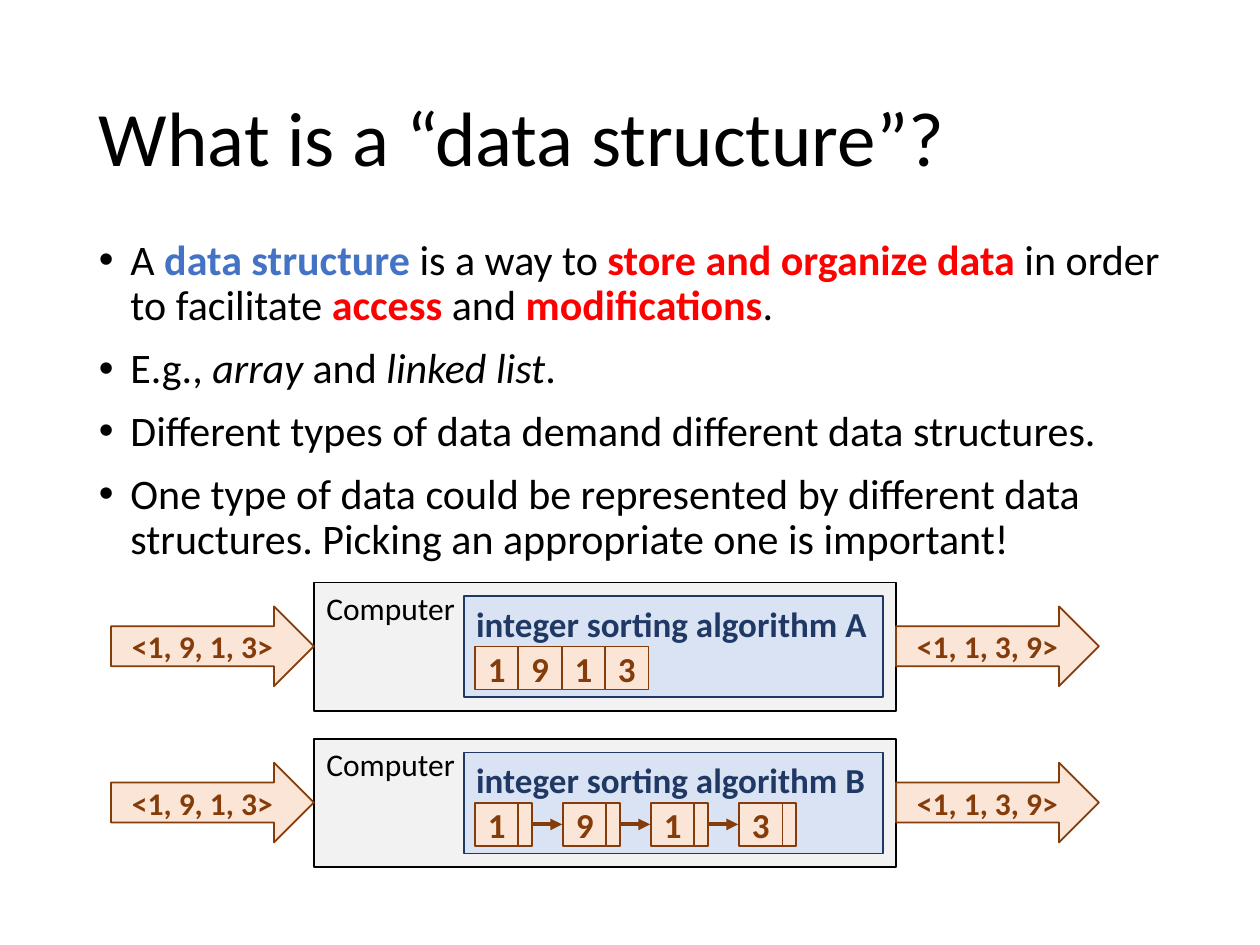
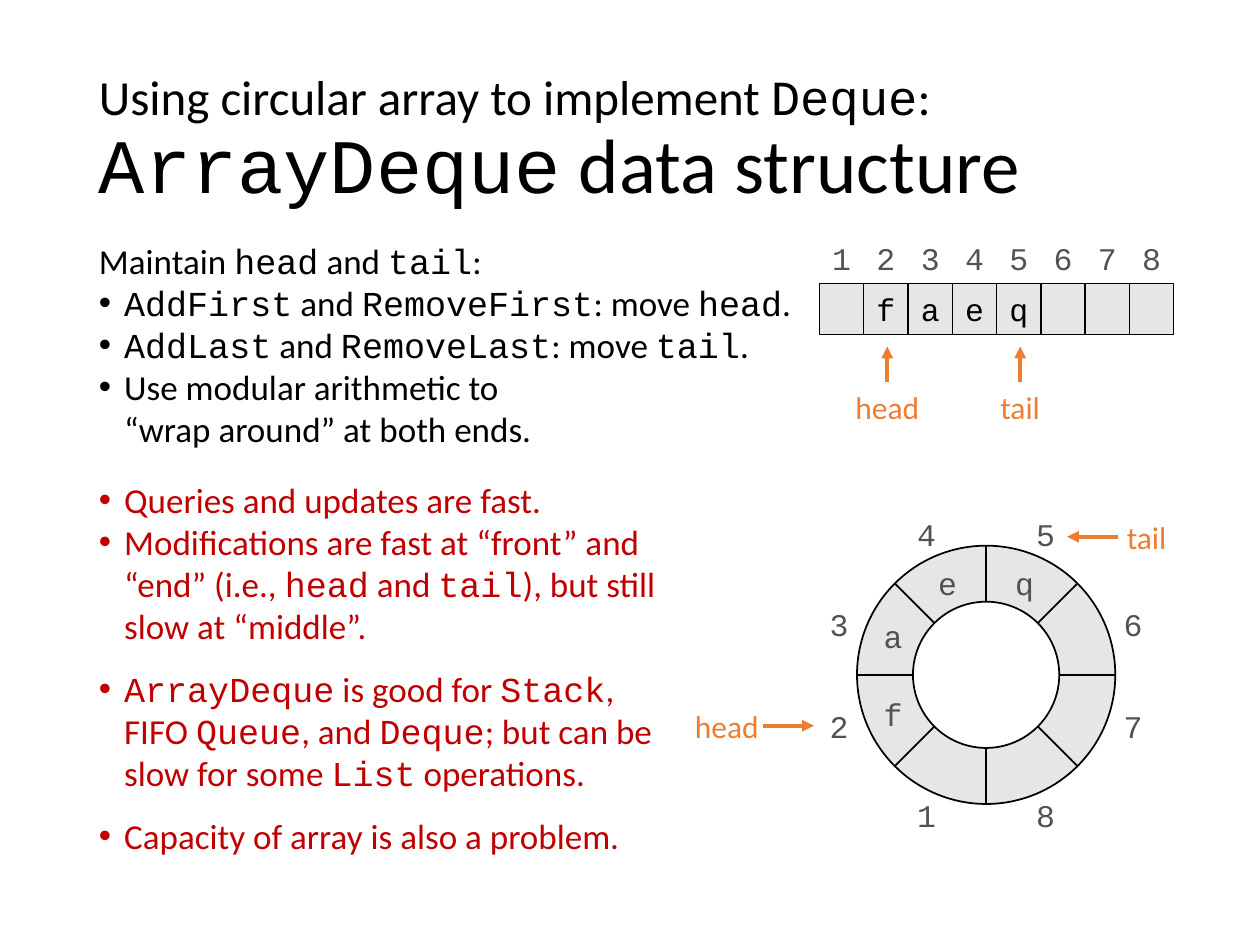
from math import cos, pi, sin
from lxml.etree import SubElement
from pptx import Presentation
from pptx.dml.color import RGBColor
from pptx.enum.shapes import MSO_CONNECTOR, MSO_SHAPE
from pptx.enum.text import MSO_ANCHOR, PP_ALIGN
from pptx.oxml.ns import qn
from pptx.util import Pt

COLOURS = {
    "text": "000000", "blue": "4472C4", "red": "FF0000", "dark red": "C00000",
    "computer": "F2F2F2", "algorithm": "DAE3F3", "navy": "203864",
    "data": "FBE5D6", "brown": "843C0B", "cell": "E7E6E6", "index": "525252",
    "orange": "ED7D31", "white": "FFFFFF",
}
BODY_FONT, CODE_FONT = "Calibri", "Courier New"
STYLES = {
    "term": {"bold": True, "colour": "blue"},
    "key": {"bold": True, "colour": "red"},
    "example": {"italic": True},
    "code": {"font": CODE_FONT},
    "small": {"size": 28},
    "small code": {"size": 28, "font": CODE_FONT},
}

STRUCTURE_TITLE = [["What is a “data structure”?"]]
STRUCTURE_POINTS = [
    ["A ", ("data structure", "term"), " is a way to ", ("store and organize data", "key"),
     " in order to facilitate ", ("access", "key"), " and ", ("modifications", "key"), "."],
    ["E.g., ", ("array", "example"), " and ", ("linked list", "example"), "."],
    ["Different types of data demand different data structures."],
    ["One type of data could be represented by different data structures. "
     "Picking an appropriate one is important!"],
]
UNSORTED, SORTED = "<1, 9, 1, 3>", "<1, 1, 3, 9>"
NUMBERS = ["1", "9", "1", "3"]
ALGORITHMS = [("integer sorting algorithm A", False), ("integer sorting algorithm B", True)]

DEQUE_TITLE = [[("Using circular array to implement ", "small"), ("Deque", "small code"),
                (":\n", "small"), ("ArrayDeque", "code"), " data structure"]]
DEQUE_INTRO = [["Maintain ", ("head", "code"), " and ", ("tail", "code"), ":"]]
DEQUE_MOVES = [
    [("AddFirst", "code"), " and ", ("RemoveFirst", "code"), ": move ", ("head", "code"), "."],
    [("AddLast", "code"), " and ", ("RemoveLast", "code"), ": move ", ("tail", "code"), "."],
    ["Use modular arithmetic to \n“wrap around” at both ends."],
]
DEQUE_SPEED = [
    ["Queries and updates are fast."],
    ["Modifications are fast at “front” and “end” (i.e., ", ("head", "code"), " and ",
     ("tail", "code"), "), but still slow at “middle”."],
]
DEQUE_USES = [[("ArrayDeque", "code"), " is good for ", ("Stack", "code"), ", FIFO ",
               ("Queue", "code"), ", and ", ("Deque", "code"),
               "; but can be slow for some ", ("List", "code"), " operations."]]
DEQUE_LIMIT = [["Capacity of array is also a problem."]]
SLOTS = ["", "f", "a", "e", "q", "", "", ""]
POINTERS = {"head": (2, 52), "tail": (5, 38)}


def colour_of(name):
    return RGBColor.from_string(COLOURS[name])


def add_run(paragraph, text, size, colour="text", font=BODY_FONT, bold=False, italic=False):
    for number, line in enumerate(text.split("\n")):
        if number:
            paragraph.add_line_break()
        if line:
            run = paragraph.add_run()
            run.text = line
            run.font.size = Pt(size)
            run.font.name = font
            run.font.bold = bold
            run.font.italic = italic
            run.font.color.rgb = colour_of(colour)


def add_bullet(paragraph, indent):
    properties = paragraph._p.get_or_add_pPr()
    properties.set("marL", str(Pt(indent)))
    properties.set("indent", str(-Pt(indent)))
    SubElement(properties, qn("a:buFont")).set("typeface", "Arial")
    SubElement(properties, qn("a:buChar")).set("char", "•")


def write_paragraphs(frame, lines, size, colour="text", indent=0, spacing=1, before=0, after=0):
    for line in lines:
        first = frame.paragraphs[0]
        paragraph = frame.add_paragraph() if first.runs else first
        paragraph.line_spacing = spacing
        paragraph.space_before = Pt(before)
        paragraph.space_after = Pt(after)
        if indent:
            add_bullet(paragraph, indent)
        for part in line:
            text, style = (part, None) if isinstance(part, str) else part
            add_run(paragraph, text, **{"size": size, "colour": colour, **STYLES.get(style, {})})


def add_text_frame(slide, left, top, width, height, anchor=MSO_ANCHOR.TOP):
    frame = slide.shapes.add_textbox(Pt(left), Pt(top), Pt(width), Pt(height)).text_frame
    frame.word_wrap = True
    frame.vertical_anchor = anchor
    return frame


def add_title(slide, lines):
    frame = add_text_frame(slide, 49.5, 28.75, 621, 104.4, MSO_ANCHOR.MIDDLE)
    write_paragraphs(frame, lines, 44, spacing=0.9)


def add_label(slide, text, centre, middle, colour="index", font=CODE_FONT, width=25.3):
    frame = add_text_frame(slide, centre - width / 2, middle - 14.5, width, 29)
    frame.word_wrap = False
    frame.paragraphs[0].alignment = PP_ALIGN.CENTER
    add_run(frame.paragraphs[0], text, 18, colour, font)


def add_box(slide, left, top, width, height, fill, line, text="", size=20, colour="text",
            bold=False, font=BODY_FONT, centred=True, weight=1, kind=MSO_SHAPE.RECTANGLE):
    shape = slide.shapes.add_shape(kind, Pt(left), Pt(top), Pt(width), Pt(height))
    shape.shadow.inherit = False
    shape.fill.solid()
    shape.fill.fore_color.rgb = colour_of(fill)
    shape.line.color.rgb = colour_of(line)
    shape.line.width = Pt(weight)
    if text:
        frame = shape.text_frame
        frame.vertical_anchor = MSO_ANCHOR.MIDDLE if centred else MSO_ANCHOR.TOP
        if centred:
            frame.margin_left = frame.margin_right = frame.margin_top = frame.margin_bottom = 0
        frame.paragraphs[0].alignment = PP_ALIGN.CENTER if centred else PP_ALIGN.LEFT
        add_run(frame.paragraphs[0], text, size, colour, font, bold)


def add_line(slide, start, end, colour="text", weight=1.0, arrow=False):
    connector = slide.shapes.add_connector(
        MSO_CONNECTOR.STRAIGHT, *(Pt(value) for value in (*start, *end)))
    connector.line.color.rgb = colour_of(colour)
    connector.line.width = Pt(weight)
    if arrow:
        SubElement(connector.line._get_or_add_ln(), qn("a:tailEnd")).set("type", "triangle")
    SubElement(connector._element.spPr, qn("a:effectLst"))


def add_data_box(slide, left, top, width, height, text="", **options):
    add_box(slide, left, top, width, height, "data", "brown", text,
            colour="brown", bold=True, **options)


def add_computer(slide, top, algorithm, linked):
    left, width = 179.4, 332.6
    add_box(slide, left, top, width, 73.5, "computer", "text", "Computer", 18, centred=False)
    for arrow_left, text in ((left - 116, UNSORTED), (left + width, SORTED)):
        add_data_box(slide, arrow_left, top + 13.7, 116, 45.6, text, size=18,
                     kind=MSO_SHAPE.RIGHT_ARROW)
    add_box(slide, 265, top + 8, 239.8, 57.6, "algorithm", "navy", algorithm,
            colour="navy", bold=True, centred=False)
    cell_top, cell, height, link = top + 36.7, 24.8, 24.6, 7.9
    step = 50.3 if linked else cell
    for number, text in enumerate(NUMBERS):
        cell_left = 271.4 + number * step
        add_data_box(slide, cell_left, cell_top, cell, height, text)
        if linked:
            add_data_box(slide, cell_left + cell, cell_top, link, height)
            if number < len(NUMBERS) - 1:
                middle = cell_top + height / 2
                add_line(slide, (cell_left + cell + link, middle),
                         (cell_left + step - 0.5, middle), "brown", 2.25, True)


def add_pointer_label(slide, name, centre, middle):
    add_label(slide, name, centre, middle, "orange", BODY_FONT, POINTERS[name][1])


def add_linear_array(slide):
    left, step = 468.3, 25.3
    for number, text in enumerate(SLOTS):
        add_box(slide, left + number * step, 162, step, 29, "cell", "text", text, 18,
                font=CODE_FONT, weight=0.75)
        add_label(slide, str(number + 1), left + (number + 0.5) * step, 147.7)
    for name, (position, _) in POINTERS.items():
        centre = left + (position - 0.5) * step + 0.8
        add_line(slide, (centre, 218.2), (centre, 198), "orange", 2.25, True)
        add_pointer_label(slide, name, centre, 232.7)


def add_circular_array(slide):
    centre, middle, outer, inner = 563.5, 385.6, 73.8, 41.8
    for radius, fill in ((outer, "cell"), (inner, "white")):
        add_box(slide, centre - radius, middle - radius, 2 * radius, 2 * radius,
                fill, "text", kind=MSO_SHAPE.OVAL)
    for number in range(len(SLOTS)):
        angle = number * 2 * pi / len(SLOTS)
        add_line(slide, *((centre + radius * cos(angle), middle + radius * sin(angle))
                          for radius in (inner, outer)))
    for position, text in enumerate(SLOTS, 1):
        across = -1 if position <= 4 else 1
        down = -1 if 3 <= position <= 6 else 1
        steep = position % 4 in (0, 1)
        index_x, index_y = (34, 80.2) if steep else (84, 29.2)
        value_x, value_y = (22, 52.2) if steep else (53.2, 22.3)
        add_label(slide, str(position), centre + across * index_x, middle + down * index_y)
        if text:
            add_label(slide, text, centre + across * value_x, middle + down * value_y)
    add_line(slide, (436.3, 414.7), (465.1, 414.7), "orange", 2.25, True)
    add_pointer_label(slide, "head", 415.4, 414.7)
    add_line(slide, (638.6, 306.7), (609.8, 306.7), "orange", 2.25, True)
    add_pointer_label(slide, "tail", 655.2, 306.7)


def build_structure_slide(slide):
    add_title(slide, STRUCTURE_TITLE)
    frame = add_text_frame(slide, 49.5, 133.2, 621, 378)
    write_paragraphs(frame, STRUCTURE_POINTS, 24, indent=18, spacing=0.9, before=10)
    for number, (algorithm, linked) in enumerate(ALGORITHMS):
        add_computer(slide, 332.8 + number * 89.3, algorithm, linked)


def build_deque_slide(slide):
    add_title(slide, DEQUE_TITLE)
    frame = add_text_frame(slide, 49.5, 133.2, 416, 128)
    write_paragraphs(frame, DEQUE_INTRO, 20)
    write_paragraphs(frame, DEQUE_MOVES, 20, indent=14.4)
    add_linear_array(slide)
    add_circular_array(slide)
    frame = add_text_frame(slide, 49.5, 270, 340, 225)
    write_paragraphs(frame, DEQUE_SPEED, 20, "dark red", 14.4)
    write_paragraphs(frame, DEQUE_USES, 20, "dark red", 14.4, before=12, after=12)
    write_paragraphs(frame, DEQUE_LIMIT, 20, "dark red", 14.4)


def main():
    presentation = Presentation()
    presentation.slide_width = Pt(720)
    presentation.slide_height = Pt(540)
    for build in (build_structure_slide, build_deque_slide):
        build(presentation.slides.add_slide(presentation.slide_layouts[6]))
    presentation.save("out.pptx")


if __name__ == "__main__":
    main()
